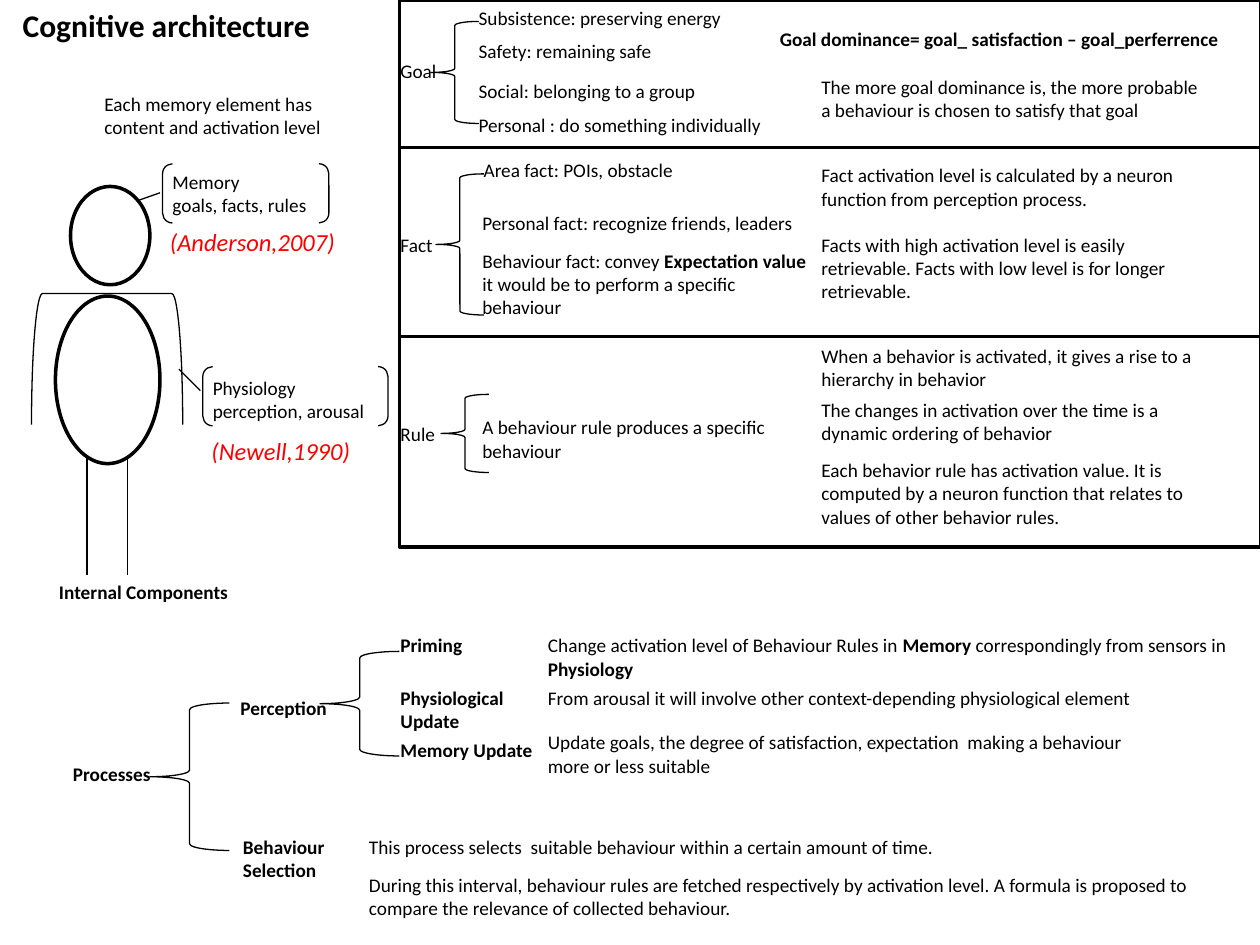
from lxml import etree
from pptx import Presentation
from pptx.dml.color import RGBColor
from pptx.enum import shapes, text
from pptx.oxml.ns import qn
from pptx.util import Inches, Pt

FONT, BLACK, RED, WHITE = "Calibri", "000000", "FF0000", "FFFFFF"
TITLE = "Cognitive architecture"

# Column positions shared by several parts
PANEL_X, PANEL_W = 3.17, 6.84
LABEL_X, GOAL_X, FACT_X, NOTE_X, UPDATE_X, SELECTION_X = 3.08, 3.7, 3.73, 6.42, 4.25, 2.83
NOTE_W = 3.25
PANEL_EDGES = [0, 1.17, 2.67, 4.34]

# Texts: left, top, width, paragraphs; ** switches bold on and off
FIGURE_TEXTS = [
    (0.73, 0.68, 2.21, ["Each memory element has", "content and activation level"]),
    (1.27, 1.3, 1.56, ["Memory", "goals, facts, rules"]),
    (1.59, 2.94, 1.49, ["Physiology", "perception, arousal"]),
    (0.37, 4.56, 1.86, ["**Internal Components**"]),
]
MEMORY_TEXTS = [
    (LABEL_X, 0.42, 0.5, ["Goal"]),
    (LABEL_X, 1.8, 0.5, ["Fact"]),
    (LABEL_X, 3.3, 0.67, ["Rule"]),
    (FACT_X, 1.93, 2.86, ["Behaviour fact: convey **Expectation value **"
                          "it would be to perform a specific behaviour"]),
    (FACT_X, 3.25, 2.86, ["A behaviour rule produces a specific behaviour"]),
    (6.09, 0.17, 3.85, ["**Goal dominance= goal_ satisfaction – goal_perferrence**"]),
]
PROCESS_TEXTS = [
    (0.48, 6, 0.94, ["**Processes**"]),
    (1.81, 5.48, 0.94, ["**Perception**"]),
    (1.83, 6.58, 1.33, ["**Behaviour Selection**"]),
    (LABEL_X, 4.98, 0.94, ["**Priming**"]),
    (LABEL_X, 5.4, 1.43, ["**Physiological Update**"]),
    (LABEL_X, 5.81, 1.43, ["**Memory Update**"]),
    (UPDATE_X, 4.98, 5.75, ["Change activation level of Behaviour Rules in **Memory** "
                            "correspondingly from sensors in **Physiology**"]),
    (UPDATE_X, 5.4, 5, ["From arousal it will involve other context-depending "
                        "physiological element"]),
    (UPDATE_X, 5.75, 5, ["Update goals, the degree of satisfaction, expectation  making "
                         "a behaviour more or less suitable"]),
    (SELECTION_X, 6.58, 5.25, ["This process selects  suitable behaviour within a certain "
                               "amount of time."]),
    (SELECTION_X, 6.88, 6.83, ["During this interval, behaviour rules are fetched respectively "
                               "by activation level. A formula is proposed to compare the "
                               "relevance of collected behaviour."]),
]
# One-line items: left, top, width, text
MEMORY_ITEMS = [
    (GOAL_X, 0, 2.14, "Subsistence: preserving energy"),
    (GOAL_X, 0.26, 1.59, "Safety: remaining safe"),
    (GOAL_X, 0.58, 1.93, "Social: belonging to a group"),
    (GOAL_X, 0.85, 2.46, "Personal : do something individually"),
    (3.74, 1.21, 1.76, "Area fact: POIs, obstacle"),
    (FACT_X, 1.63, 2.73, "Personal fact: recognize friends, leaders"),
]
CITATIONS = [(1.25, 1.75, 1.56, "(Anderson,2007)"), (1.58, 3.41, 1.36, "(Newell,1990)")]
# Notes in the right column: top, paragraphs
NOTES = [
    (0.55, ["The more goal dominance is, the more probable a behaviour is chosen "
            "to satisfy that goal"]),
    (1.25, ["Fact activation level is calculated by a neuron function from perception process.",
            "Facts with high activation level is easily retrievable. Facts with low level "
            "is for longer retrievable."]),
    (2.68, ["When a behavior is activated, it gives a rise to a hierarchy in behavior"]),
    (3.11, ["The changes in activation over the time is a dynamic ordering of behavior"]),
    (3.59, ["Each behavior rule has activation value. It is computed by a neuron function "
            "that relates to values of other behavior rules."]),
]
# Outlines: left, top, width, height
BRACES = [(3.42, 0.17, 0.38, 0.81), (3.46, 1.38, 0.38, 1.12), (3.5, 3.13, 0.38, 0.62),
          (1.19, 5.58, 0.63, 1.17), (2.54, 5.17, 0.63, 0.83)]
BRACKET_PAIRS = [(1.29, 1.3, 1.32, 0.47), (1.61, 2.91, 1.47, 0.47)]
ARMS, BODY, HEAD = (0.33, 2.25, 1.04, 1.2), (0.44, 2.35, 0.83, 1.33), (0.56, 1.48, 0.63, 0.78)
LEGS = [(0.69, 3.63, 0.69, 4.56), (1.01, 3.63, 1.01, 4.56)]
POINTERS = [(1.1, 1.59, 1.27, 1.53), (1.42, 2.93, 1.59, 3.1)]

prs = Presentation()
prs.slide_width, prs.slide_height = Inches(10), Inches(7.5)
slide = prs.slides.add_slide(prs.slide_layouts[5])


def rgb(colour):
    return RGBColor.from_string(colour)


def format_run(run, size, colour, bold=False, italic=False):
    font = run.font
    font.name, font.size, font.bold, font.italic = FONT, Pt(size), bold, italic
    font.color.rgb = rgb(colour)


def add_outline(preset, box, weight=0.75, fill=None):
    outline = slide.shapes.add_shape(preset, *map(Inches, box))
    outline.shadow.inherit = False
    outline.line.color.rgb, outline.line.width = rgb(BLACK), Pt(weight)
    if fill:
        outline.fill.solid()
        outline.fill.fore_color.rgb = rgb(fill)
    else:
        outline.fill.background()
    return outline


def add_line(ends):
    line = slide.shapes.add_connector(shapes.MSO_CONNECTOR.STRAIGHT, *map(Inches, ends))
    line.line.color.rgb, line.line.width = rgb(BLACK), Pt(0.75)
    etree.SubElement(line._element.spPr, qn("a:effectLst"))


def add_text(left, top, width, paragraphs, size=11, colour=BLACK, italic=False,
             wrap=True, gap=0):
    height = 0.1 + 0.017 * size * len(paragraphs)
    box = slide.shapes.add_textbox(*map(Inches, (left, top, width, height)))
    frame = box.text_frame
    frame.word_wrap = wrap
    frame.auto_size = text.MSO_AUTO_SIZE.SHAPE_TO_FIT_TEXT
    for i, content in enumerate(paragraphs):
        paragraph = frame.add_paragraph() if i else frame.paragraphs[0]
        if i:
            paragraph.space_before = Pt(gap)
        for j, part in enumerate(content.split("**")):
            if part:
                run = paragraph.add_run()
                run.text = part
                format_run(run, size, colour, j % 2 == 1, italic)


# Title
title = slide.shapes.title
title.left, title.top, title.width, title.height = map(Inches, (0.08, 0, 2.56, 0.4))
title.text_frame.text = TITLE
title.text_frame.word_wrap = False
title.text_frame.vertical_anchor = text.MSO_ANCHOR.TOP
title.text_frame.paragraphs[0].alignment = text.PP_ALIGN.LEFT
format_run(title.text_frame.paragraphs[0].runs[0], 18, BLACK, bold=True)

# Human figure
add_outline(shapes.MSO_SHAPE.LEFT_BRACKET, ARMS).rotation = 90
add_outline(shapes.MSO_SHAPE.OVAL, BODY, 2, WHITE)
add_outline(shapes.MSO_SHAPE.OVAL, HEAD, 2)
for ends in LEGS + POINTERS:
    add_line(ends)

# Panels, braces and brackets
for top, bottom in zip(PANEL_EDGES, PANEL_EDGES[1:]):
    add_outline(shapes.MSO_SHAPE.RECTANGLE, (PANEL_X, top, PANEL_W, bottom - top), 2)
for box in BRACES:
    add_outline(shapes.MSO_SHAPE.LEFT_BRACE, box)
for box in BRACKET_PAIRS:
    add_outline(shapes.MSO_SHAPE.DOUBLE_BRACKET, box)

# Texts
for left, top, width, paragraphs in FIGURE_TEXTS + MEMORY_TEXTS + PROCESS_TEXTS:
    add_text(left, top, width, paragraphs)
for left, top, width, item in MEMORY_ITEMS:
    add_text(left, top, width, [item], wrap=False)
for left, top, width, citation in CITATIONS:
    add_text(left, top, width, [citation], 14, RED, italic=True, wrap=False)
for top, paragraphs in NOTES:
    add_text(NOTE_X, top, NOTE_W, paragraphs, gap=13.4)

prs.save("out.pptx")
